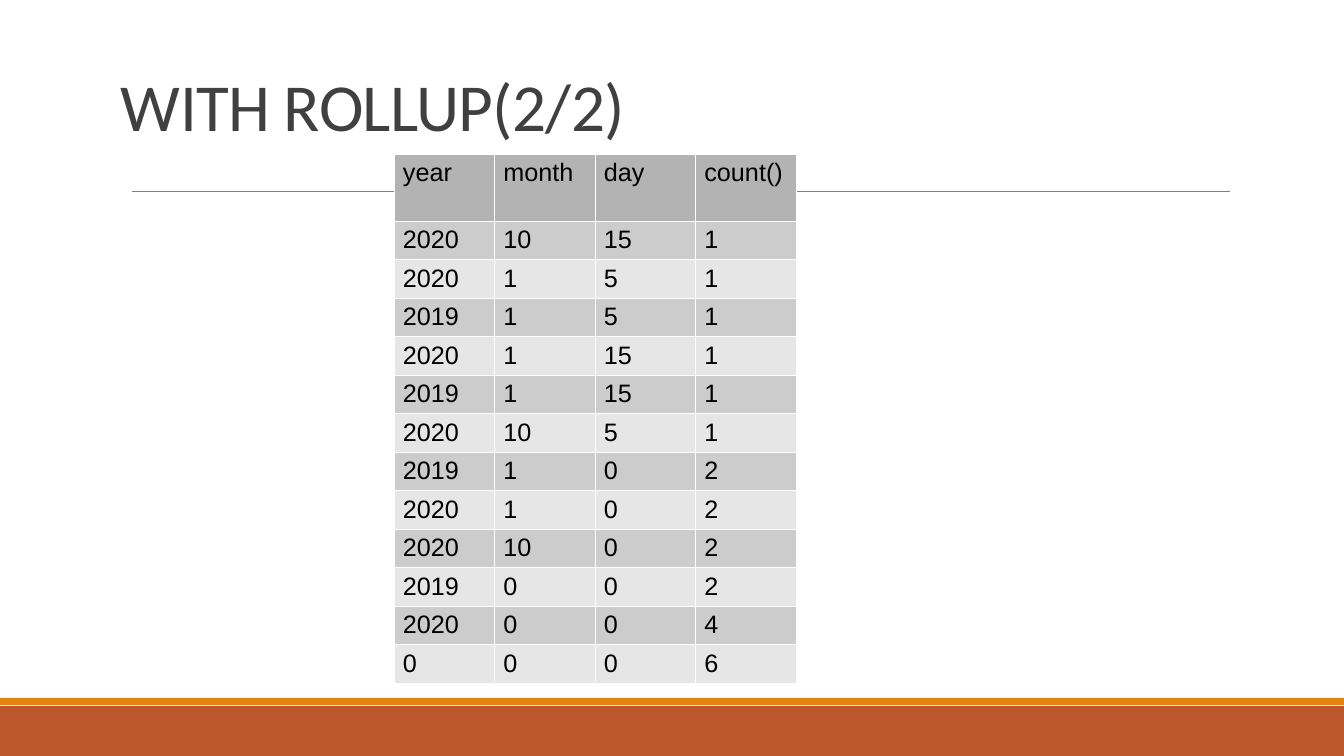
import lxml.etree
import pptx
import pptx.dml.color
import pptx.enum.shapes
import pptx.enum.text
import pptx.oxml
import pptx.oxml.ns
import pptx.util

SCALE = 914400 / 100.8
COLOURS = {
    "title": "404040", "text": "000000", "rule": "808080", "border": "FFFFFF",
    "footer": "BD582C", "accent": "E48312",
    "header": "B3B3B3", "odd": "CCCCCC", "even": "E6E6E6",
}
TITLE_FONT = {"name": "Calibri", "size": pptx.util.Pt(48), "bold": False}
CELL_FONT = {"name": "Arial", "size": pptx.util.Pt(18), "bold": False}
COUNTS = [
    ("year", "month", "day", "count()"),
    (2020, 10, 15, 1),
    (2020, 1, 5, 1),
    (2019, 1, 5, 1),
    (2020, 1, 15, 1),
    (2019, 1, 15, 1),
    (2020, 10, 5, 1),
    (2019, 1, 0, 2),
    (2020, 1, 0, 2),
    (2020, 10, 0, 2),
    (2019, 0, 0, 2),
    (2020, 0, 0, 4),
    (0, 0, 0, 6),
]


def px(length):
    return pptx.util.Emu(round(length * SCALE))


def apply(target, values):
    for name, value in values.items():
        setattr(target, name, value)


class SlideBuilder:
    """Draws styled elements on the current slide, measured in pixels."""

    def __init__(self, deck):
        self.slide = deck.slides.add_slide(deck.slide_layouts[5])

    def colour(self, key):
        return pptx.dml.color.RGBColor.from_string(COLOURS[key])

    def fill(self, target, key):
        target.fill.solid()
        target.fill.fore_color.rgb = self.colour(key)

    def font(self, run, values, key):
        apply(run.font, values)
        run.font.color.rgb = self.colour(key)

    def title(self, words, left, top, width, height):
        heading = self.slide.shapes.title
        apply(heading, {"left": px(left), "top": px(top),
                        "width": px(width), "height": px(height)})
        frame = heading.text_frame
        apply(frame, {"margin_left": 0, "margin_top": 0, "margin_right": 0,
                      "margin_bottom": 0, "word_wrap": True,
                      "auto_size": pptx.enum.text.MSO_AUTO_SIZE.NONE,
                      "vertical_anchor": pptx.enum.text.MSO_ANCHOR.MIDDLE})
        paragraph = frame.paragraphs[0]
        apply(paragraph, {"alignment": pptx.enum.text.PP_ALIGN.LEFT,
                          "line_spacing": 0.85})
        run = paragraph.add_run()
        run.text = words
        self.font(run, TITLE_FONT, "title")
        run.font._element.set("spc", "-50")

    def band(self, key, left, top, width, height):
        strip = self.slide.shapes.add_shape(
            pptx.enum.shapes.MSO_SHAPE.RECTANGLE,
            px(left), px(top), px(width), px(height))
        strip.shadow.inherit = False
        self.fill(strip, key)
        strip.line.fill.background()

    def rule(self, key, left, right, top):
        line = self.slide.shapes.add_connector(
            pptx.enum.shapes.MSO_CONNECTOR.STRAIGHT,
            px(left), px(top), px(right), px(top))
        line.line.color.rgb = self.colour(key)
        line.line.width = pptx.util.Pt(0.51)
        lxml.etree.SubElement(line._element.spPr,
                              pptx.oxml.ns.qn("a:effectLst"))

    def border(self, cell):
        properties = cell._tc.get_or_add_tcPr()
        for position, side in enumerate("LRTB"):
            properties.insert(position, pptx.oxml.parse_xml(
                f'<a:ln{side} {pptx.oxml.ns.nsdecls("a")} w="720"><a:solidFill>'
                f'<a:srgbClr val="{COLOURS["border"]}"/></a:solidFill></a:ln{side}>'))

    def table(self, records, left, top, width, header_height, row_height):
        height = header_height + row_height * (len(records) - 1)
        grid = self.slide.shapes.add_table(
            len(records), len(records[0]),
            px(left), px(top), px(width), px(height)).table
        apply(grid, {"first_row": False, "horz_banding": False})
        for index, record in enumerate(records):
            grid.rows[index].height = px(row_height if index else header_height)
            shade = ("even", "odd")[index % 2] if index else "header"
            for column, value in enumerate(record):
                cell = grid.cell(index, column)
                apply(cell, {"margin_left": px(9), "margin_right": px(9),
                             "margin_top": px(5), "margin_bottom": px(5)})
                self.fill(cell, shade)
                self.border(cell)
                run = cell.text_frame.paragraphs[0].add_run()
                run.text = str(value)
                self.font(run, CELL_FONT, "text")


presentation = pptx.Presentation()
apply(presentation, {"slide_width": px(1344), "slide_height": px(756)})
rollup = SlideBuilder(presentation)
rollup.band("footer", 0, 706, 1344, 50)
rollup.band("accent", 0, 698, 1344, 7)
rollup.rule("rule", 132, 1230, 191)
rollup.title("WITH ROLLUP(2/2)", 121, 31, 1109, 160)
rollup.table(COUNTS, 394, 154, 402, 67, 38.5)
presentation.save("out.pptx")
